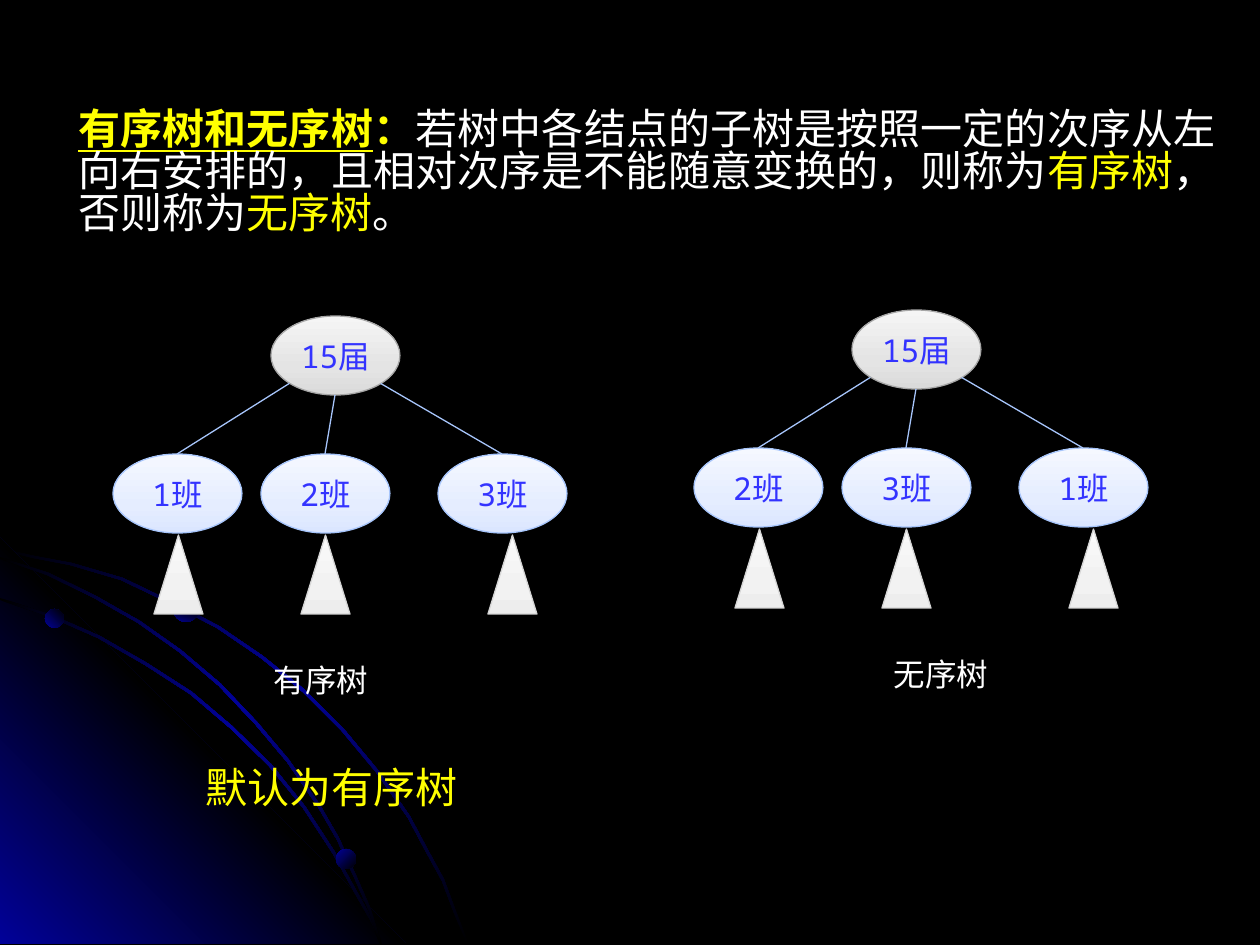
"""Build the slide that contrasts ordered and unordered trees."""

from dataclasses import dataclass
from math import cos, pi

from lxml.etree import SubElement
from pptx import Presentation
from pptx.dml.color import RGBColor
from pptx.enum.shapes import MSO_CONNECTOR, MSO_SHAPE
from pptx.enum.text import MSO_ANCHOR, MSO_AUTO_SIZE, PP_ALIGN
from pptx.oxml.ns import qn
from pptx.shapes.autoshape import Shape
from pptx.slide import Slide
from pptx.text.text import _Paragraph
from pptx.util import Emu, Pt

EMU_PER_PX = 914400 / 126

Stops = tuple[tuple[int, str], ...]
Points = list[tuple[int, int]]


@dataclass(frozen=True)
class Theme:
    background: str = "000000"
    text: str = "FFFFFF"
    accent: str = "FFFF00"
    node_text: str = "3333FF"
    edge: str = "A7C5FB"
    root_edge: str = "A6A6A6"
    subtree_edge: str = "D5D5D5"
    root_fill: Stops = ((0, "DADADA"), (35, "E4E4E4"), (100, "F5F5F5"))
    child_fill: Stops = ((0, "DBE6FF"), (35, "E5EDFF"), (100, "F5F8FF"))
    subtree_fill: Stops = ((0, "EDEDED"), (35, "F2F2F2"), (100, "FAFAFA"))
    arc_fill: Stops = ((0, "000000"), (50, "010199"), (100, "000000"))
    wedge_fill: Stops = ((0, "010199"), (50, "000000"), (100, "010199"))
    dot_fill: Stops = ((0, "010199"), (100, "000000"))
    cjk_font: str = "Noto Sans CJK SC"
    node_font: str = "Noto Sans Mono"
    large: int = 24
    small: int = 18
    line_width: float = 0.75
    line_spacing: float = 0.83


@dataclass(frozen=True)
class Box:
    left: int
    top: int
    width: int
    height: int

    @property
    def center(self) -> int:
        return self.left + self.width // 2

    def emu(self) -> tuple[Emu, ...]:
        return tuple(map(px, (self.left, self.top, self.width, self.height)))


@dataclass(frozen=True)
class Tree:
    left: int
    top: int
    root: str
    children: tuple[str, ...]
    caption: str
    caption_left: int


@dataclass(frozen=True)
class Phrase:
    text: str
    color: str
    bold: bool = False
    underline: bool = False


THEME = Theme()
NODE_WIDTH, NODE_HEIGHT = 129, 79
SUBTREE_WIDTH = 49
CHILD_LEFTS = (0, 148, 325)
SUBTREE_LEFTS = (41, 188, 375)
ROOT_LEFT, CHILD_TOP, SUBTREE_TOP, CAPTION_TOP = 158, 138, 219, 345
BOTTOM = 944

TREES = (
    Tree(113, 316, "15届", ("1班", "2班", "3班"), "有序树", 232),
    Tree(694, 310, "15届", ("2班", "3班", "1班"), "无序树", 852),
)
DEFINITION = (
    Phrase("有序树和无序树", THEME.accent, True, True),
    Phrase("：", THEME.accent, True),
    Phrase("若树中各结点的子树是按照一定的次序从左向右安排的，且相对次序是不能随意变换的，则称为", THEME.text),
    Phrase("有序树", THEME.accent),
    Phrase("，否则称为", THEME.text),
    Phrase("无序树", THEME.accent),
    Phrase("。", THEME.text),
)
OUTER_ARC = [(0, 548), (35, 556), (72, 563), (123, 578), (171, 601), (219, 626), (263, 656), (305, 690),
             (343, 728), (378, 770), (410, 816), (427, 848), (444, 879), (456, 911), (469, BOTTOM)]
INNER_ARC = [(0, 598), (52, 615), (100, 636), (147, 663), (192, 692), (232, 726), (271, 764), (305, 806),
             (335, 852), (360, 897), (373, 920), (382, BOTTOM)]
MIDDLE_ARC = [(0, 557), (49, 573), (96, 596), (140, 621), (181, 650), (221, 684), (257, 722), (289, 760),
              (320, 805), (339, 838), (355, 873), (370, 907), (382, BOTTOM)]
WEDGE = [(406, BOTTOM), (0, BOTTOM), (0, 538)]
DOTS = ((Box(45, 609, 19, 19), 45), (Box(336, 849, 20, 20), 315), (Box(173, 596, 26, 26), 45))


def px(length: float) -> Emu:
    """Turn pixels into EMU."""
    return Emu(round(length * EMU_PER_PX))


def fill_gradient(shape: Shape, stops: Stops, angle: int) -> None:
    """Fill a shape with a linear gradient, its angle counted anticlockwise."""
    shape.fill.gradient()
    shape.fill.gradient_angle = angle
    stop_list = shape._element.spPr.find(qn("a:gradFill")).find(qn("a:gsLst"))
    for old_stop in list(stop_list):
        stop_list.remove(old_stop)
    for position, color in stops:
        stop = SubElement(stop_list, qn("a:gs"), pos=str(position * 1000))
        SubElement(stop, qn("a:srgbClr"), val=color)
    shape.shadow.inherit = False


def draw_outline(slide: Slide, points: Points, stops: Stops, angle: int) -> None:
    """Draw a closed, borderless polygon."""
    builder = slide.shapes.build_freeform(*points[0], scale=EMU_PER_PX)
    builder.add_line_segments(points[1:], close=True)
    outline = builder.convert_to_shape()
    fill_gradient(outline, stops, angle)
    outline.line.fill.background()


def draw_arc(slide: Slide, upper: Points) -> None:
    """Draw a thin band below an upper edge."""
    lower = [(max(x - 2, 0), min(y + 2, BOTTOM)) for x, y in reversed(upper)]
    draw_outline(slide, upper + lower, THEME.arc_fill, 315)


def draw_backdrop(slide: Slide) -> None:
    """Draw the corner glow with its arcs and dots."""
    draw_arc(slide, OUTER_ARC)
    draw_outline(slide, WEDGE, THEME.wedge_fill, 45)
    draw_arc(slide, INNER_ARC)
    draw_arc(slide, MIDDLE_ARC)
    for box, angle in DOTS:
        dot = slide.shapes.add_shape(MSO_SHAPE.OVAL, *box.emu())
        fill_gradient(dot, THEME.dot_fill, angle)
        dot.line.fill.background()


def set_font(paragraph: _Paragraph, name: str, size: int) -> None:
    """Set the typefaces and size of a paragraph."""
    paragraph.font.name = name
    paragraph.font.size = Pt(size)
    SubElement(paragraph.font._element, qn("a:ea"), typeface=THEME.cjk_font)


def add_text(slide: Slide, box: Box, phrases: tuple[Phrase, ...], size: int, align: PP_ALIGN) -> None:
    """Add a wrapped text box of coloured phrases."""
    frame = slide.shapes.add_textbox(*box.emu()).text_frame
    frame.word_wrap = True
    frame.auto_size = MSO_AUTO_SIZE.SHAPE_TO_FIT_TEXT
    paragraph = frame.paragraphs[0]
    paragraph.alignment = align
    paragraph.line_spacing = THEME.line_spacing
    set_font(paragraph, THEME.cjk_font, size)
    for phrase in phrases:
        run = paragraph.add_run()
        run.text = phrase.text
        run.font.color.rgb = RGBColor.from_string(phrase.color)
        run.font.bold = phrase.bold
        run.font.underline = phrase.underline


def draw_solid(slide: Slide, kind: MSO_SHAPE, box: Box, stops: Stops, edge: str) -> Shape:
    """Draw a shaded, outlined shape with a soft shadow."""
    solid = slide.shapes.add_shape(kind, *box.emu())
    fill_gradient(solid, stops, 90)
    solid.line.color.rgb = RGBColor.from_string(edge)
    solid.line.width = Pt(THEME.line_width)
    effects = solid._element.spPr.find(qn("a:effectLst"))
    shadow = SubElement(effects, qn("a:outerShdw"), blurRad=str(Pt(3.1)), dist=str(Pt(1.6)), dir="5400000")
    color = SubElement(shadow, qn("a:srgbClr"), val=THEME.background)
    SubElement(color, qn("a:alpha"), val="38000")
    return solid


def draw_node(slide: Slide, box: Box, label: str, stops: Stops, edge: str) -> None:
    """Draw a labelled tree node."""
    frame = draw_solid(slide, MSO_SHAPE.OVAL, box, stops, edge).text_frame
    frame.margin_left = frame.margin_right = frame.margin_top = frame.margin_bottom = 0
    frame.vertical_anchor = MSO_ANCHOR.MIDDLE
    paragraph = frame.paragraphs[0]
    paragraph.text = label
    paragraph.alignment = PP_ALIGN.CENTER
    set_font(paragraph, THEME.node_font, THEME.small)
    paragraph.font.color.rgb = RGBColor.from_string(THEME.node_text)


def draw_branch(slide: Slide, root: Box, child: Box, side: int) -> None:
    """Join the lower left, bottom or lower right of the root to a child."""
    reach = cos(pi / 4)
    start_x = root.center + side * reach * root.width / 2
    start_y = root.top + root.height / 2 * (1 + (reach if side else 1))
    ends = map(px, (start_x, start_y, child.center, child.top))
    branch = slide.shapes.add_connector(MSO_CONNECTOR.STRAIGHT, *ends)
    branch.line.color.rgb = RGBColor.from_string(THEME.edge)
    branch.line.width = Pt(THEME.line_width)
    SubElement(branch._element.spPr, qn("a:effectLst"))


def draw_tree(slide: Slide, tree: Tree) -> None:
    """Draw a root, its children with their subtrees, and the caption."""
    root = Box(tree.left + ROOT_LEFT, tree.top, NODE_WIDTH, NODE_HEIGHT)
    draw_node(slide, root, tree.root, THEME.root_fill, THEME.root_edge)
    for side, label, child_left, subtree_left in zip((-1, 0, 1), tree.children, CHILD_LEFTS, SUBTREE_LEFTS):
        child = Box(tree.left + child_left, tree.top + CHILD_TOP, NODE_WIDTH, NODE_HEIGHT)
        subtree = Box(tree.left + subtree_left, tree.top + SUBTREE_TOP, SUBTREE_WIDTH, NODE_HEIGHT)
        draw_node(slide, child, label, THEME.child_fill, THEME.edge)
        draw_branch(slide, root, child, side)
        draw_solid(slide, MSO_SHAPE.ISOSCELES_TRIANGLE, subtree, THEME.subtree_fill, THEME.subtree_edge)
    caption_box = Box(tree.caption_left, tree.top + CAPTION_TOP, 178, 50)
    add_text(slide, caption_box, (Phrase(tree.caption, THEME.text),), THEME.small, PP_ALIGN.CENTER)


def main() -> None:
    """Build and save the slide."""
    presentation = Presentation()
    presentation.slide_width, presentation.slide_height = px(1260), px(945)
    slide = presentation.slides.add_slide(presentation.slide_layouts[6])
    slide.background.fill.solid()
    slide.background.fill.fore_color.rgb = RGBColor.from_string(THEME.background)
    draw_backdrop(slide)
    add_text(slide, Box(66, 105, 1162, 165), DEFINITION, THEME.large, PP_ALIGN.JUSTIFY)
    for tree in TREES:
        draw_tree(slide, tree)
    add_text(slide, Box(193, 764, 325, 63), (Phrase("默认为有序树", THEME.accent),), THEME.large, PP_ALIGN.LEFT)
    presentation.save("out.pptx")


if __name__ == "__main__":
    main()
